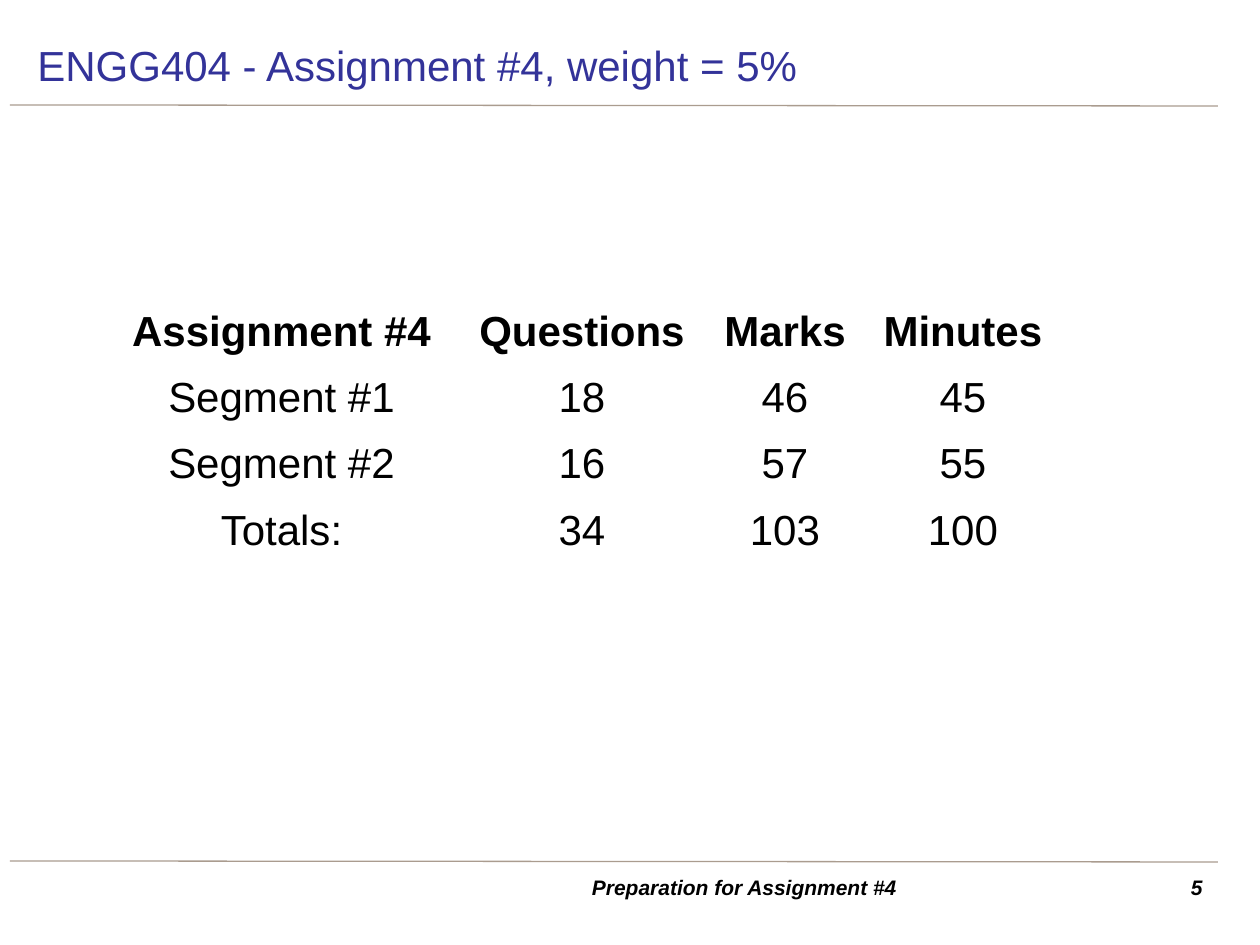
from pptx import Presentation
from pptx.dml.color import RGBColor
from pptx.enum.shapes import MSO_CONNECTOR
from pptx.enum.text import MSO_ANCHOR, PP_ALIGN
from pptx.oxml.ns import qn
from pptx.util import Pt
from lxml import etree

PX = 914400 // 126
HUES = {"title": "333399", "text": "000000", "rule": "AA9C8F"}


def write(frame, text, size=24, hue="text", bold=False, slant=False, align=PP_ALIGN.CENTER):
    para = frame.paragraphs[0]
    para.alignment = align
    run = para.add_run()
    run.text = text
    font = run.font
    font.name = "Arial"
    font.size = Pt(size)
    font.bold = bold
    font.italic = slant
    font.color.rgb = RGBColor.from_string(HUES[hue])


deck = Presentation()
deck.slide_width = 1260 * PX
deck.slide_height = 945 * PX
slide = deck.slides.add_slide(deck.slide_layouts[6])
shapes = slide.shapes

for top in (105, 861):
    rule = shapes.add_connector(MSO_CONNECTOR.STRAIGHT, 10 * PX, top * PX, 1218 * PX, (top + 1) * PX)
    rule.line.color.rgb = RGBColor.from_string(HUES["rule"])
    rule.line.width = Pt(0.75)
    etree.SubElement(rule._element.spPr, qn("a:effectLst"))

small = {"size": 12, "bold": True, "slant": True}
labels = [
    ("ENGG404 - Assignment #4, weight = 5%", (25, 30, 1191, 69), MSO_ANCHOR.MIDDLE,
     {"hue": "title", "align": PP_ALIGN.LEFT}),
    ("5", (1142, 868, 73, 39), MSO_ANCHOR.TOP, {**small, "align": PP_ALIGN.RIGHT}),
    ("Preparation for Assignment #4", (372, 868, 745, 39), MSO_ANCHOR.MIDDLE, small),
]
for text, place, anchor, form in labels:
    box = shapes.add_textbox(*(n * PX for n in place))
    frame = box.text_frame
    frame.word_wrap = True
    frame.vertical_anchor = anchor
    write(frame, text, **form)

rows = [
    ("Assignment #4", "Questions", "Marks", "Minutes"),
    ("Segment #1", "18", "46", "45"),
    ("Segment #2", "16", "57", "55"),
    ("Totals:", "34", "103", "100"),
]
widths = (353, 248, 158, 198)
high = 39
grid = shapes.add_table(len(rows), len(widths), 105 * PX, 300 * PX,
                        sum(widths) * PX, len(rows) * high * PX).table
grid.first_row = False
grid.horz_banding = False
for col, wide in zip(grid.columns, widths):
    col.width = wide * PX
for r, row in enumerate(rows):
    grid.rows[r].height = high * PX
    for c, text in enumerate(row):
        cell = grid.cell(r, c)
        cell.fill.background()
        cell.margin_left = cell.margin_right = 8 * PX
        cell.margin_top = cell.margin_bottom = 8 * PX
        write(cell.text_frame, text, bold=r == 0)

deck.save("out.pptx")
